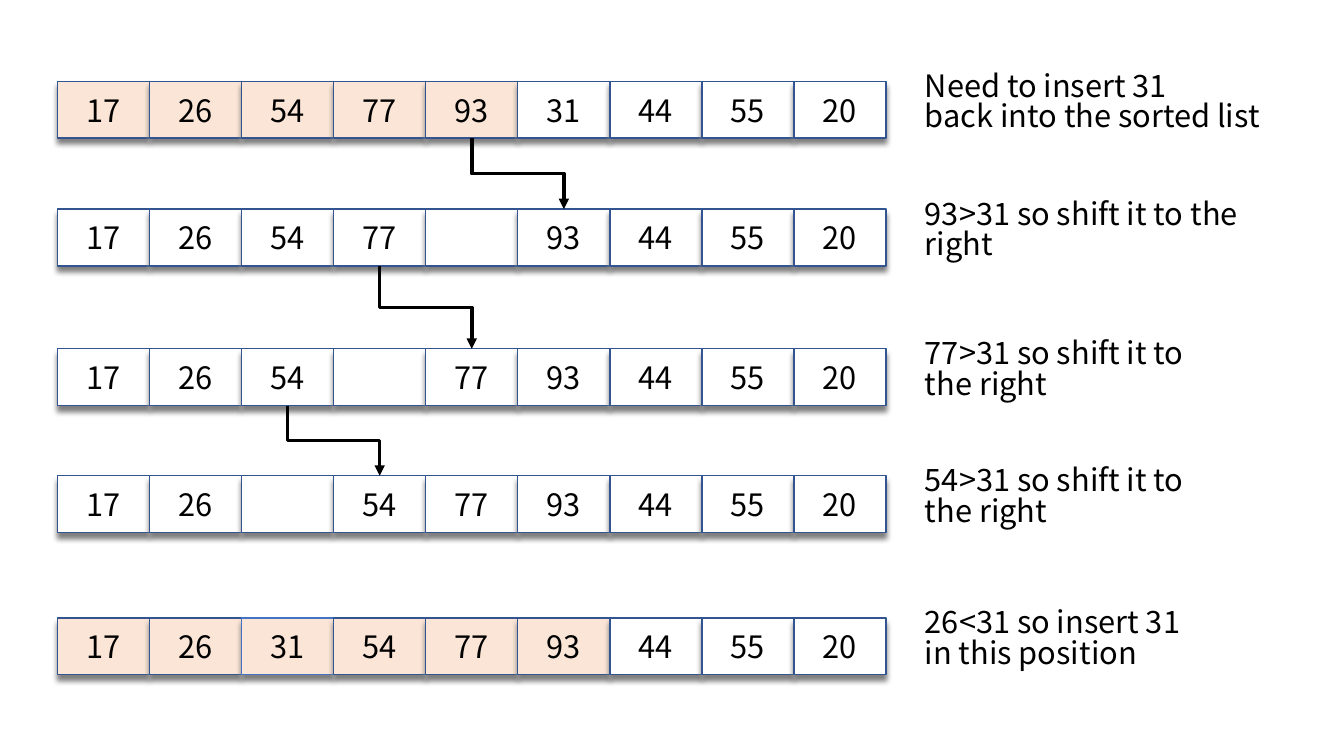
from lxml.etree import SubElement
from pptx import Presentation
from pptx.dml.color import RGBColor
from pptx.enum.shapes import MSO_CONNECTOR as Connector, MSO_SHAPE as Shape
from pptx.enum.text import MSO_ANCHOR as Anchor, PP_ALIGN as Align
from pptx.oxml.ns import qn
from pptx.util import Cm, Pt

FONT = "Noto Sans CJK KR"
BLACK, WHITE, SORTED = "000000", "FFFFFF", "FBE5D6"
BORDER, INSERTED_BORDER, SHADOW = "325491", "4472C4", "808080"

# top (cm), values, number of sorted cells, inserted column, note, note width (cm)
STEPS = [
    (2.05, "17 26 54 77 93 31 44 55 20", 5, None,
     ["Need to insert 31", "back into the sorted list"], 9.35),
    (5.27, "17 26 54 77 - 93 44 55 20", 0, None,
     ["93>31 so shift it to the right"], 8.66),
    (8.79, "17 26 54 - 77 93 44 55 20", 0, None,
     ["77>31 so shift it to the right"], 8),
    (11.99, "17 26 - 54 77 93 44 55 20", 0, None,
     ["54>31 so shift it to the right"], 8),
    (15.57, "17 26 31 54 77 93 44 55 20", 6, 2,
     ["26<31 so insert 31 in this position"], 7.42),
]
# (step, column) of the value that moves one cell right in the next step
SHIFTS = [(0, 4), (1, 3), (2, 2)]

ROW_LEFT, CELL_WIDTH, CELL_HEIGHT = 1.45, 2.32, 1.43
NOTE_LEFT, NOTE_RISE, NOTE_HEIGHT = 23.06, 0.34, 2.13


def color(value):
    return RGBColor.from_string(value)


def write(shape, lines, align=Align.LEFT, anchor=Anchor.TOP, spacing=None):
    frame = shape.text_frame
    frame.word_wrap = True
    frame.vertical_anchor = anchor
    frame.text = "\n".join(lines)
    for paragraph in frame.paragraphs:
        paragraph.alignment = align
        paragraph.line_spacing = spacing
        font = paragraph.font
        font.name, font.size = FONT, Pt(22)
        font.color.rgb = color(BLACK)


def add_shadow(shape):
    """Give the shape a soft grey shadow straight below it."""
    shape.shadow.inherit = False
    effects = shape._element.spPr.find(qn("a:effectLst"))
    shadow = SubElement(effects, qn("a:outerShdw"), blurRad=str(Pt(4)),
                        dist=str(Pt(4)), dir="5400000", rotWithShape="0")
    SubElement(shadow, qn("a:srgbClr"), val=SHADOW)


def add_cell(slide, column, top, value, fill, border):
    cell = slide.shapes.add_shape(
        Shape.RECTANGLE, Cm(ROW_LEFT + column * CELL_WIDTH), Cm(top),
        Cm(CELL_WIDTH), Cm(CELL_HEIGHT))
    cell.fill.solid()
    cell.fill.fore_color.rgb = color(fill)
    cell.line.color.rgb = color(border)
    cell.line.width = Pt(1)
    add_shadow(cell)
    if value != "-":
        write(cell, [value], align=Align.CENTER, anchor=Anchor.MIDDLE)
    return cell


def add_step(slide, top, values, sorted_count, inserted, note, note_width):
    """Draw one row with its note and return the cells."""
    cells = [
        add_cell(slide, column, top, value,
                 SORTED if column < sorted_count else WHITE,
                 INSERTED_BORDER if column == inserted else BORDER)
        for column, value in enumerate(values.split())
    ]
    box = slide.shapes.add_textbox(Cm(NOTE_LEFT), Cm(top - NOTE_RISE),
                                   Cm(note_width), Cm(NOTE_HEIGHT))
    write(box, note, spacing=0.83)
    return cells


def add_shift_arrow(slide, source, target):
    """Join bottom to top with an elbow that leaves downwards."""
    arrow = slide.shapes.add_connector(Connector.ELBOW, 0, 0, 0, 0)
    arrow.begin_connect(source, 2)
    arrow.end_connect(target, 0)
    across = target.left - source.left
    down = target.top - source.top - source.height
    middle_x = source.left + (source.width + across) // 2
    middle_y = target.top - down // 2
    # A quarter turn swaps the sides of the frame around its centre.
    arrow.left, arrow.top = middle_x - down // 2, middle_y - across // 2
    arrow.width, arrow.height = down, across
    properties = arrow._element.spPr
    frame = properties.find(qn("a:xfrm"))
    frame.set("rot", "16200000")
    frame.set("flipH", "1")
    arrow.line.color.rgb = color(BLACK)
    arrow.line.width = Pt(2.5)
    SubElement(properties.find(qn("a:ln")), qn("a:tailEnd"), type="triangle")
    SubElement(properties, qn("a:effectLst"))


def main():
    presentation = Presentation()
    presentation.slide_width, presentation.slide_height = Cm(33.87), Cm(19.05)
    slide = presentation.slides.add_slide(presentation.slide_layouts[6])
    rows = [add_step(slide, *step) for step in STEPS]
    for step, column in SHIFTS:
        add_shift_arrow(slide, rows[step][column], rows[step + 1][column + 1])
    presentation.save("out.pptx")


if __name__ == "__main__":
    main()
